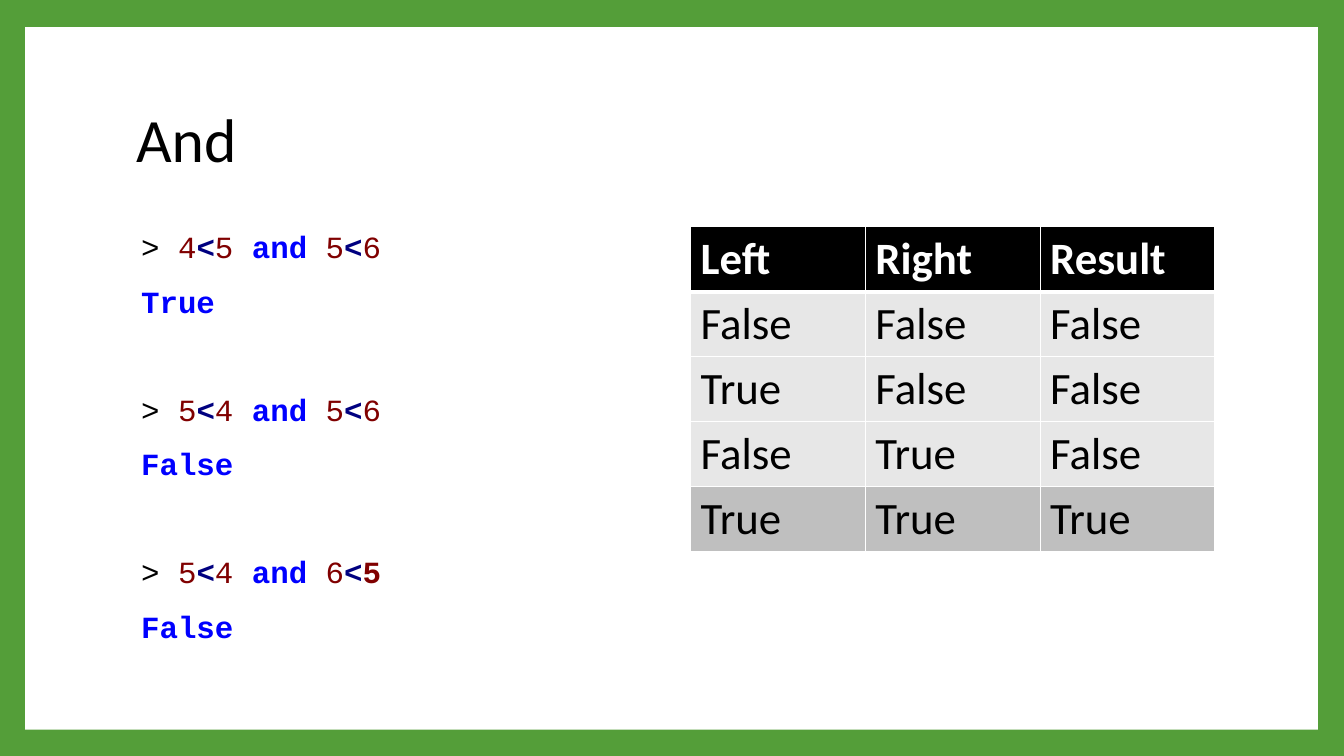
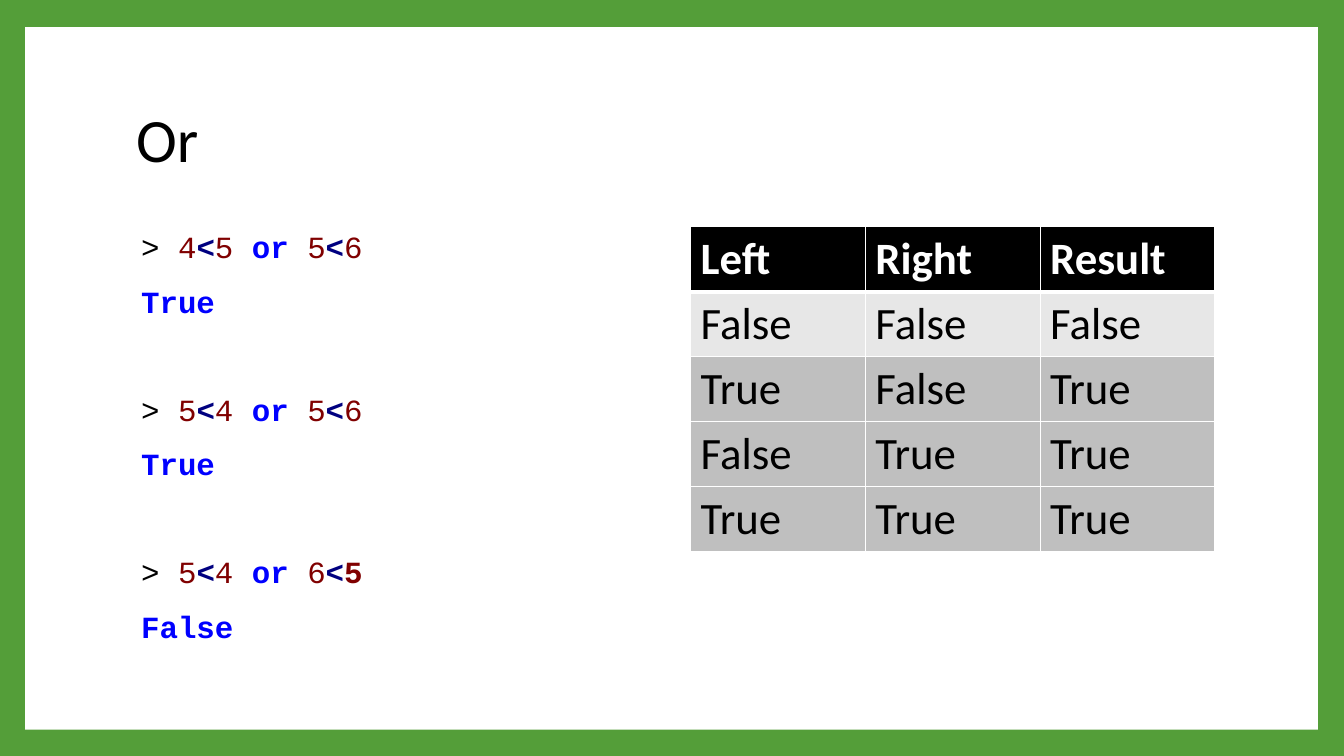
from dataclasses import dataclass

from lxml import etree
from pptx import Presentation
from pptx import util as u
from pptx.dml.color import RGBColor
from pptx.enum import shapes, text
from pptx.oxml import ns

# Shared look
GREEN, WHITE, BLACK = "549E39", "FFFFFF", "000000"
LIGHT, DARK = "E7E7E7", "BFBFBF"
NUMBER, OPERATOR, KEYWORD = "800000", "000080", "0000FF"
SANS, MONO = "Calibri", "Courier New"

# Grid: two equal columns below the title
LEFT, TOP, COL_W, GAP = 1.25, 2.25, 5.2, 0.4
TITLE_TOP, TITLE_H, CODE_H, ROW_H = 0.67, 1.48, 4.4, 0.64
LINE_GAP, GROUP_GAP = 15.4, 53.3  # points before a result and a new example

HEADER = ("Left", "Right", "Result")
INPUTS = ((False, False), (True, False), (False, True), (True, True))


@dataclass
class Example:
    left: str
    right: str
    result: bool
    bold_end: bool = False


@dataclass
class LogicSlide:
    title: str
    keyword: str
    results: tuple[bool, ...]
    examples: tuple[Example, ...]


def logic_slide(title: str, results: tuple[bool, ...], answers: tuple[bool, ...]) -> LogicSlide:
    pairs = (("4<5", "5<6"), ("5<4", "5<6"), ("5<4", "6<5"))
    last = len(pairs) - 1
    examples = tuple(Example(*pair, answer, i == last)
                     for i, (pair, answer) in enumerate(zip(pairs, answers)))
    return LogicSlide(title, title.lower(), results, examples)


SLIDES = (
    logic_slide("And", (False, False, False, True), (True, False, False)),
    logic_slide("Or", (False, True, True, True), (True, True, False)),
)


def color(hex_code: str) -> RGBColor:
    return RGBColor.from_string(hex_code)


def place(sp, x: float, y: float, w: float, h: float) -> None:
    sp.left, sp.top, sp.width, sp.height = map(u.Inches, (x, y, w, h))


def add_run(p, words: str, size: float, face: str, ink: str, bold: bool = False) -> None:
    r = p.add_run()
    r.text = words
    r.font.size, r.font.name, r.font.bold = u.Pt(size), face, bold
    r.font.color.rgb = color(ink)


# Master and layout
def set_up_layout(prs):
    master, layout = prs.slide_master, prs.slide_layouts[1]
    master.background.fill.solid()
    master.background.fill.fore_color.rgb = color(GREEN)
    title, body = layout.placeholders[0], layout.placeholders[1]
    place(title, LEFT, TITLE_TOP, 2 * COL_W + GAP, TITLE_H)
    place(body, LEFT, TOP, COL_W, CODE_H)
    return layout


def add_master_panel(prs, slide) -> None:
    sp = slide.shapes.add_shape(shapes.MSO_SHAPE.RECTANGLE, 0, 0, 0, 0)
    place(sp, 0.25, 0.27, 12.82, 6.97)
    sp.shadow.inherit = False
    sp.fill.solid()
    sp.fill.fore_color.rgb = color(WHITE)
    sp.line.fill.background()
    # Shapes cannot be added to a master directly, so move it there
    prs.slide_master.shapes._spTree.insert(2, sp._element)


# Title
def fill_title(slide, words: str) -> None:
    tf = slide.shapes.title.text_frame
    tf.vertical_anchor = text.MSO_ANCHOR.MIDDLE
    p = tf.paragraphs[0]
    p.alignment, p.line_spacing = text.PP_ALIGN.LEFT, 0.9
    add_run(p, words, 44, SANS, BLACK)


# Code examples
def code_line(p, before: float) -> None:
    p.line_spacing, p.space_before = 0.9, u.Pt(before)
    pPr = p._p.get_or_add_pPr()
    pPr.set("marL", str(u.Inches(0.05)))
    pPr.set("indent", "0")
    etree.SubElement(pPr, ns.qn("a:buNone"))


def add_comparison(p, comparison: str, bold_end: bool = False) -> None:
    first, sign, second = comparison
    add_run(p, first, 22, MONO, NUMBER)
    add_run(p, sign, 22, MONO, OPERATOR, True)
    add_run(p, second, 22, MONO, NUMBER, bold_end)


def fill_code(slide, data: LogicSlide) -> None:
    tf = slide.placeholders[1].text_frame
    tf.auto_size = text.MSO_AUTO_SIZE.NONE
    for i, example in enumerate(data.examples):
        p = tf.add_paragraph() if i else tf.paragraphs[0]
        code_line(p, GROUP_GAP if i else 0)
        add_run(p, "> ", 22, MONO, BLACK)
        add_comparison(p, example.left)
        add_run(p, f" {data.keyword} ", 22, MONO, KEYWORD, True)
        add_comparison(p, example.right, example.bold_end)
        p = tf.add_paragraph()
        code_line(p, LINE_GAP)
        add_run(p, str(example.result), 22, MONO, KEYWORD, True)


# Truth table
def set_borders(cell, top: float, bottom: float) -> None:
    tcPr = cell._tc.get_or_add_tcPr()
    widths = {"a:lnL": 1, "a:lnR": 1, "a:lnT": top, "a:lnB": bottom}
    for i, (tag, width) in enumerate(widths.items()):
        ln = etree.Element(ns.qn(tag), w=str(u.Pt(width)))
        fill = etree.SubElement(ln, ns.qn("a:solidFill"))
        etree.SubElement(fill, ns.qn("a:srgbClr"), val=WHITE)
        tcPr.insert(i, ln)


def add_truth_table(slide, results: tuple[bool, ...]) -> None:
    rows = [HEADER] + [(*pair, result) for pair, result in zip(INPUTS, results)]
    x, y, w, h = map(u.Inches, (LEFT + COL_W + GAP, TOP, COL_W, ROW_H * len(rows)))
    table = slide.shapes.add_table(len(rows), len(HEADER), x, y, w, h).table
    table.horz_banding = False
    for i, row in enumerate(rows):
        is_header = i == 0
        shade = BLACK if is_header else DARK if row[-1] else LIGHT
        for j, value in enumerate(row):
            cell = table.cell(i, j)
            cell.fill.solid()
            cell.fill.fore_color.rgb = color(shade)
            set_borders(cell, 3 if i == 1 else 1, 3 if is_header else 1)
            add_run(cell.text_frame.paragraphs[0], str(value), 32, SANS,
                    WHITE if is_header else BLACK, is_header)


def main() -> None:
    prs = Presentation()
    prs.slide_width, prs.slide_height = u.Inches(13.33), u.Inches(7.5)
    layout = set_up_layout(prs)
    for i, data in enumerate(SLIDES):
        slide = prs.slides.add_slide(layout)
        if i == 0:
            add_master_panel(prs, slide)
        fill_title(slide, data.title)
        add_truth_table(slide, data.results)
        fill_code(slide, data)
    prs.save("out.pptx")


if __name__ == "__main__":
    main()
